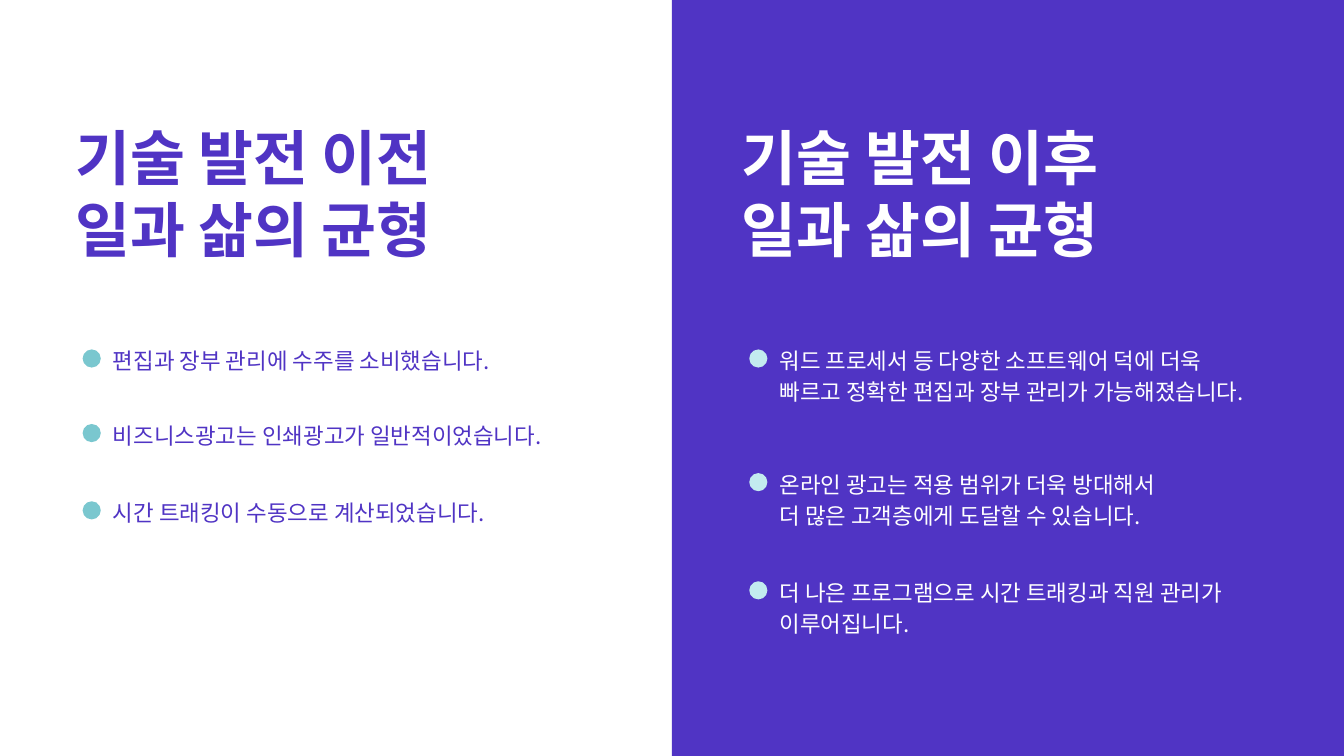
import pptx
import pptx.dml.color
import pptx.enum.shapes
import pptx.enum.text
import pptx.oxml.ns
import pptx.util
from lxml import etree
from pptx.util import Inches

FONT = "Noto Sans CJK KR"
COLORS = {
    "purple": "5034C4",
    "white": "FFFFFF",
    "teal": "7AC7CF",
    "pale_teal": "C3EBEF",
}
ITEM_LEADING = 33.6

# Each item: distance below the top of the list in inches, text
BEFORE = [
    (0, "편집과 장부 관리에 수주를 소비했습니다."),
    (1.11, "비즈니스광고는 인쇄광고가 일반적이었습니다."),
    (2.26, "시간 트래킹이 수동으로 계산되었습니다."),
]
AFTER = [
    (0, "워드 프로세서 등 다양한 소프트웨어 덕에 더욱\v"
        "빠르고 정확한 편집과 장부 관리가 가능해졌습니다."),
    (1.84, "온라인 광고는 적용 범위가 더욱 방대해서\v더 많은 고객층에게 도달할 수 있습니다."),
    (3.45, "더 나은 프로그램으로 시간 트래킹과 직원 관리가\v이루어집니다."),
]


def rgb(name):
    return pptx.dml.color.RGBColor.from_string(COLORS[name])


def sub(parent, tag, **attrs):
    return etree.SubElement(parent, pptx.oxml.ns.qn(tag), **attrs)


def place(sp, left, top, width, height):
    sp.left, sp.top, sp.width, sp.height = left, top, width, height
    tf = sp.text_frame
    tf.margin_left = tf.margin_right = tf.margin_top = tf.margin_bottom = 0
    tf.word_wrap = True
    tf.auto_size = pptx.enum.text.MSO_AUTO_SIZE.NONE
    tf.vertical_anchor = pptx.enum.text.MSO_ANCHOR.TOP
    return tf


def add_shape(s, kind, left, top, width, height, color):
    sp = s.shapes.add_shape(kind, left, top, width, height)
    sp.shadow.inherit = False
    sp.fill.solid()
    sp.fill.fore_color.rgb = rgb(color)
    sp.line.fill.background()
    return sp


def format_paragraph(p, size, leading, color, bold=False, before=0):
    # The round dots are shapes, so the inherited bullet is off
    pPr = p._p.get_or_add_pPr()
    pPr.set("marL", "0")
    pPr.set("indent", "0")
    sub(pPr, "a:buNone")
    p.alignment = pptx.enum.text.PP_ALIGN.LEFT
    p.line_spacing = pptx.util.Pt(leading)
    p.space_before = pptx.util.Pt(before)
    for r in p.runs:
        r.font.size = pptx.util.Pt(size)
        r.font.bold = bold
        r.font.color.rgb = rgb(color)
        r.font.name = FONT
        sub(r.font._element, "a:ea", typeface=FONT)


def fill_column(s, heading, body, left, top, title, items, color, dot):
    # Heading
    tf = place(heading, left, top, Inches(7.83), Inches(2.13))
    tf.text = title
    for p in tf.paragraphs:
        format_paragraph(p, 64, 76.8, color, bold=True)

    # List with a dot beside each item
    list_top = top + Inches(3.3)
    tf = place(body, left + Inches(0.56), list_top, Inches(7.27), Inches(4.4))
    text_end = 0
    for i, (offset, text) in enumerate(items):
        p = tf.paragraphs[0] if i == 0 else tf.add_paragraph()
        p.text = text
        format_paragraph(p, 24, ITEM_LEADING, color, before=offset * 72 - text_end)
        text_end = offset * 72 + ITEM_LEADING * (text.count("\v") + 1)
        add_shape(s, pptx.enum.shapes.MSO_SHAPE.OVAL, left + Inches(0.11),
                  list_top + Inches(offset + 0.1), Inches(0.27), Inches(0.27), dot)


def add_panel(s):
    sp = add_shape(s, pptx.enum.shapes.MSO_SHAPE.RECTANGLE, Inches(10), Inches(-0.27),
                   Inches(10.13), Inches(11.78), "purple")
    # Send behind the placeholders
    s.shapes._spTree.insert(2, sp._element)


def main():
    prs = pptx.Presentation()
    prs.slide_width, prs.slide_height = Inches(20), Inches(11.25)
    s = prs.slides.add_slide(prs.slide_layouts.get_by_name("Comparison"))
    s.background.fill.solid()
    s.background.fill.fore_color.rgb = rgb("white")
    add_panel(s)

    ph = {sp.placeholder_format.idx: sp for sp in s.placeholders}
    fill_column(s, ph[0], ph[2], Inches(1.12), Inches(1.8),
                "기술 발전 이전\n일과 삶의 균형", BEFORE, "purple", "teal")
    fill_column(s, ph[1], ph[4], Inches(11.04), Inches(1.8),
                "기술 발전 이후\n일과 삶의 균형", AFTER, "white", "pale_teal")

    # Remove the unused placeholder
    s.shapes._spTree.remove(ph[3]._element)
    prs.save("out.pptx")


if __name__ == "__main__":
    main()
